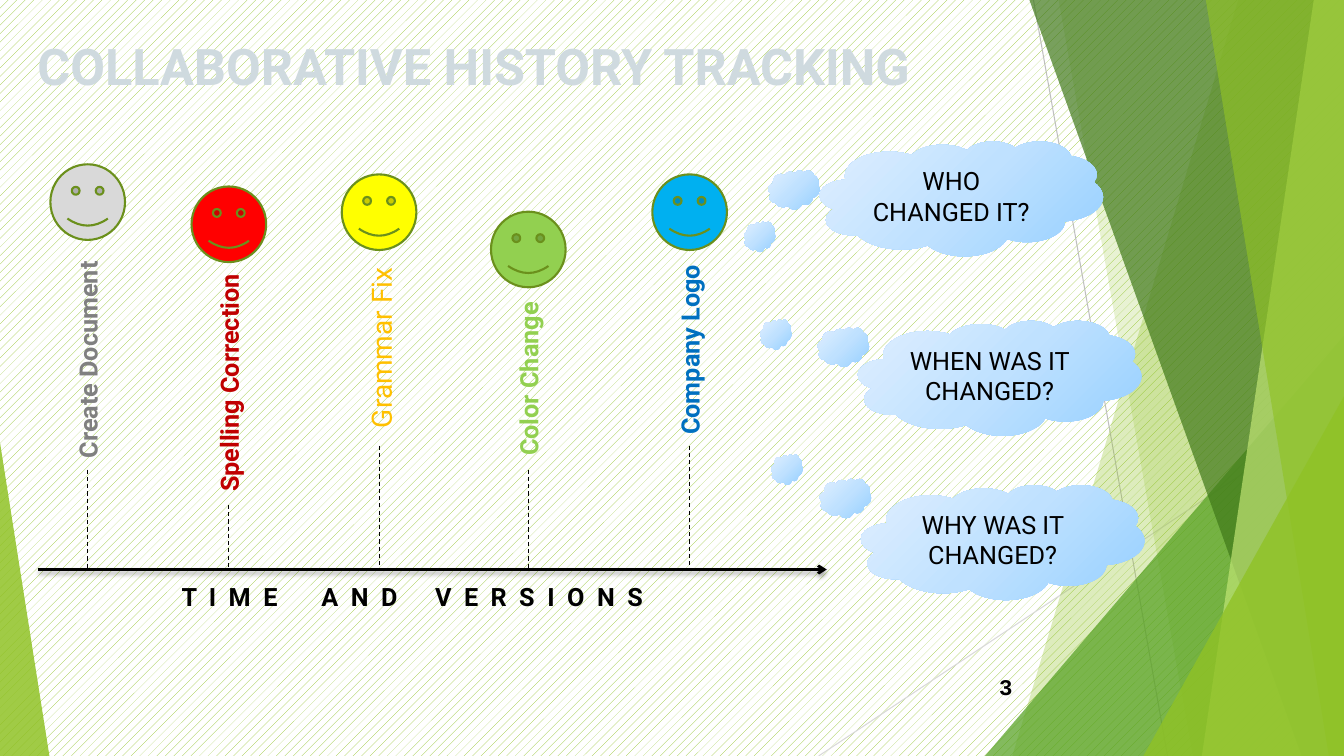
from lxml import etree
from pptx import Presentation
from pptx.dml.color import RGBColor
from pptx.enum.dml import MSO_LINE, MSO_PATTERN
from pptx.enum.shapes import MSO_CONNECTOR, MSO_SHAPE
from pptx.enum.text import MSO_ANCHOR, PP_ALIGN
from pptx.oxml import parse_xml
from pptx.oxml.ns import nsdecls, qn
from pptx.util import Inches, Pt

STRAIGHT = MSO_CONNECTOR.STRAIGHT
CLOUD, SMILEY, TRIANGLE = MSO_SHAPE.CLOUD, MSO_SHAPE.SMILEY_FACE, MSO_SHAPE.ISOSCELES_TRIANGLE
LEFT, CENTER, RIGHT = PP_ALIGN.LEFT, PP_ALIGN.CENTER, PP_ALIGN.RIGHT
MIDDLE, TOP = MSO_ANCHOR.MIDDLE, MSO_ANCHOR.TOP
DASH = MSO_LINE.DASH

WHITE = RGBColor(0xFF, 0xFF, 0xFF)
BLACK = RGBColor(0x00, 0x00, 0x00)
LIME = RGBColor(0x90, 0xC2, 0x26)
PALE_LIME = RGBColor(0xC0, 0xE4, 0x74)
GREEN = RGBColor(0x54, 0xA0, 0x21)
DARK_GREEN = RGBColor(0x3F, 0x78, 0x19)
OLIVE = RGBColor(0x6B, 0x90, 0x1C)
MIST = RGBColor(0xCF, 0xDA, 0xDF)
SILVER = RGBColor(0xBF, 0xBF, 0xBF)
LIGHT_GRAY = RGBColor(0xD9, 0xD9, 0xD9)
GRAY = RGBColor(0x80, 0x80, 0x80)
RED = RGBColor(0xFF, 0x00, 0x00)
DARK_RED = RGBColor(0xC0, 0x00, 0x00)
YELLOW = RGBColor(0xFF, 0xFF, 0x00)
AMBER = RGBColor(0xFF, 0xC0, 0x00)
LIGHT_GREEN = RGBColor(0x92, 0xD0, 0x50)
SKY = RGBColor(0x00, 0xB0, 0xF0)
BLUE = RGBColor(0x00, 0x70, 0xC0)
CLOUD_STOPS = (
    (0, RGBColor(0x96, 0xD0, 0xFF)),
    (50, RGBColor(0xBF, 0xE1, 0xFF)),
    (100, RGBColor(0xE0, 0xEF, 0xFF)),
)

FONT = "Roboto"
WIDTH, HEIGHT = 13.33, 7.5

MILESTONES = (
    ("Create Document", LIGHT_GRAY, GRAY, 18, True, 0.87, 1.63, 3.57, 4.66),
    ("Spelling Correction", RED, DARK_RED, 18, True, 2.27, 1.85, 3.8, 5.01),
    ("Grammar Fix", YELLOW, AMBER, 20, False, 3.76, 1.73, 3.45, 4.42),
    ("Color Change", LIGHT_GREEN, LIGHT_GREEN, 18, True, 5.24, 2.1, 3.76, 4.66),
    ("Company Logo", SKY, BLUE, 18, True, 6.84, 1.73, 3.47, 4.42),
)
QUESTIONS = (
    ("WHO CHANGED IT?", 8.13, 1.4, (-0.51, 0.29), (-0.75, 0.8)),
    ("WHEN WAS IT CHANGED?", 8.51, 3.18, (-0.4, 0.07), (-0.97, -0.01)),
    ("WHY WAS IT CHANGED?", 8.54, 4.81, (-0.41, -0.06), (-0.89, -0.3)),
)


def inches(*lengths):
    return [Inches(length) for length in lengths]


def add_span(para, text, size, color, bold=False, font=FONT):
    span = para.add_run()
    span.text = text
    span.font.name = font
    span.font.size = Pt(size)
    span.font.bold = bold
    span.font.color.rgb = color
    return span


def frame_para(shape, align, anchor):
    frame = shape.text_frame
    frame.word_wrap = True
    frame.vertical_anchor = anchor
    para = frame.paragraphs[0]
    para.alignment = align
    return para


def add_line(slide, start, end, color, weight):
    line = slide.shapes.add_connector(STRAIGHT, *inches(*start, *end))
    line.line.color.rgb = color
    line.line.width = Pt(weight)
    etree.SubElement(line._element.spPr, qn("a:effectLst"))
    return line


def paint(shape, color, opacity=100):
    shape.shadow.inherit = False
    shape.fill.solid()
    shape.fill.fore_color.rgb = color
    shape.line.fill.background()
    if opacity < 100:
        tint = shape._element.spPr.find(qn("a:solidFill"))[0]
        etree.SubElement(tint, qn("a:alpha"), val=str(opacity * 1000))


def add_band(slide, top_x, bottom_x, color, opacity):
    builder = slide.shapes.build_freeform(Inches(top_x), 0)
    corners = ((WIDTH, 0), (WIDTH, HEIGHT), (bottom_x, HEIGHT))
    builder.add_line_segments([inches(*corner) for corner in corners], close=True)
    paint(builder.convert_to_shape(), color, opacity)


def add_wedge(slide, left, top, width, apex, color, opacity):
    wedge = slide.shapes.add_shape(TRIANGLE, *inches(left, top, width, HEIGHT - top))
    wedge.adjustments[0] = apex
    paint(wedge, color, opacity)


def add_facets(slide):
    add_line(slide, (10.25, 0), (11.58, HEIGHT), SILVER, 0.75)
    add_line(slide, (WIDTH, 4.03), (8.12, HEIGHT), LIGHT_GRAY, 0.75)
    add_band(slide, 12.28, 10.04, LIME, 30)
    add_band(slide, 10.5, 11.83, LIME, 20)
    add_wedge(slide, 9.77, 3.33, 3.56, 1, GREEN, 72)
    add_band(slide, 10.21, 12.91, DARK_GREEN, 70)
    add_band(slide, 13.03, 11.92, PALE_LIME, 70)
    add_band(slide, 11.96, 13.18, LIME, 65)
    add_wedge(slide, 11.34, 3.93, 1.99, 1, LIME, 80)
    add_wedge(slide, 0, 4.39, 0.49, 0, LIME, 85)


def add_title(slide, left, top, width, height):
    title = slide.shapes.title
    title.left, title.top, title.width, title.height = inches(left, top, width, height)
    para = frame_para(title, LEFT, MIDDLE)
    add_span(para, "COLLABORATIVE HISTORY TRACKING", 36, MIST, True)


def add_milestone(slide, axis_y, label, face_color, color, size, bold, center, face_y, label_y, dash_y):
    dash = add_line(slide, (center, dash_y), (center, axis_y), BLACK, 0.75)
    dash.line.dash_style = DASH
    length, depth = 2.4, 0.4
    box = slide.shapes.add_textbox(*inches(center - length / 2, label_y - depth / 2, length, depth))
    box.rotation = 270
    add_span(frame_para(box, CENTER, TOP), label, size, color, bold)
    face = slide.shapes.add_shape(SMILEY, *inches(center - 0.37, face_y, 0.74, 0.75))
    paint(face, face_color)
    face.line.color.rgb = OLIVE
    face.line.width = Pt(1.5)


def add_timeline(slide, left, axis_y, width):
    axis = add_line(slide, (left, axis_y), (left + width, axis_y), BLACK, 2)
    properties = axis._element.spPr
    etree.SubElement(properties.find(qn("a:ln")), qn("a:tailEnd"), type="arrow")
    shadow = etree.SubElement(
        properties.find(qn("a:effectLst")), qn("a:outerShdw"),
        blurRad=str(Pt(3)), dist=str(Pt(2)), dir="5400000", rotWithShape="0")
    tint = etree.SubElement(shadow, qn("a:srgbClr"), val=str(BLACK))
    etree.SubElement(tint, qn("a:alpha"), val="35000")
    for milestone in MILESTONES:
        add_milestone(slide, axis_y, *milestone)
    caption = slide.shapes.add_textbox(*inches(left, axis_y + 0.07, width - 0.4, 0.4))
    para = frame_para(caption, CENTER, TOP)
    spaced = (("T I M E", 225), (" ", 2450), ("A N D", 225), (" ", 2000), ("V E R S I O N S", 225))
    for text, spacing in spaced:
        span = add_span(para, text, 18, BLACK, True)
        span.font._element.set("spc", str(spacing))


def add_cloud(slide, left, top, width, height):
    cloud = slide.shapes.add_shape(CLOUD, *inches(left, top, width, height))
    paint(cloud, WHITE)
    stops = "".join(
        f'<a:gs pos="{position * 1000}"><a:srgbClr val="{color}"/></a:gs>'
        for position, color in CLOUD_STOPS)
    gradient = parse_xml(
        f'<a:gradFill {nsdecls("a")} rotWithShape="1"><a:gsLst>{stops}</a:gsLst>'
        '<a:lin ang="13500000" scaled="0"/></a:gradFill>')
    properties = cloud._element.spPr
    properties.replace(properties.find(qn("a:solidFill")), gradient)
    return cloud


def add_question(slide, text, left, top, near, far):
    cloud = add_cloud(slide, left, top, 2.81, 1.14)
    add_span(frame_para(cloud, CENTER, MIDDLE), text, 18, BLACK)
    add_cloud(slide, left + near[0], top + near[1], 0.51, 0.39)
    add_cloud(slide, left + far[0], top + far[1], 0.31, 0.3)


def add_page_number(slide, left, top, width, height):
    box = slide.shapes.add_textbox(*inches(left, top, width, height))
    add_span(frame_para(box, RIGHT, MIDDLE), "3", 16, BLACK, True, "Courier New")


def main():
    deck = Presentation()
    deck.slide_width, deck.slide_height = inches(WIDTH, HEIGHT)
    slide = deck.slides.add_slide(deck.slide_layouts[5])
    backdrop = slide.background.fill
    backdrop.patterned()
    backdrop.pattern = MSO_PATTERN.PERCENT_20
    backdrop.fore_color.rgb = LIME
    backdrop.back_color.rgb = WHITE
    add_facets(slide)
    add_title(slide, 0.27, 0.3, 11.5, 0.69)
    add_timeline(slide, 0.38, 5.65, 7.82)
    for question in QUESTIONS:
        add_question(slide, *question)
    add_page_number(slide, 9.39, 6.61, 0.75, 0.4)
    deck.save("out.pptx")


if __name__ == "__main__":
    main()
